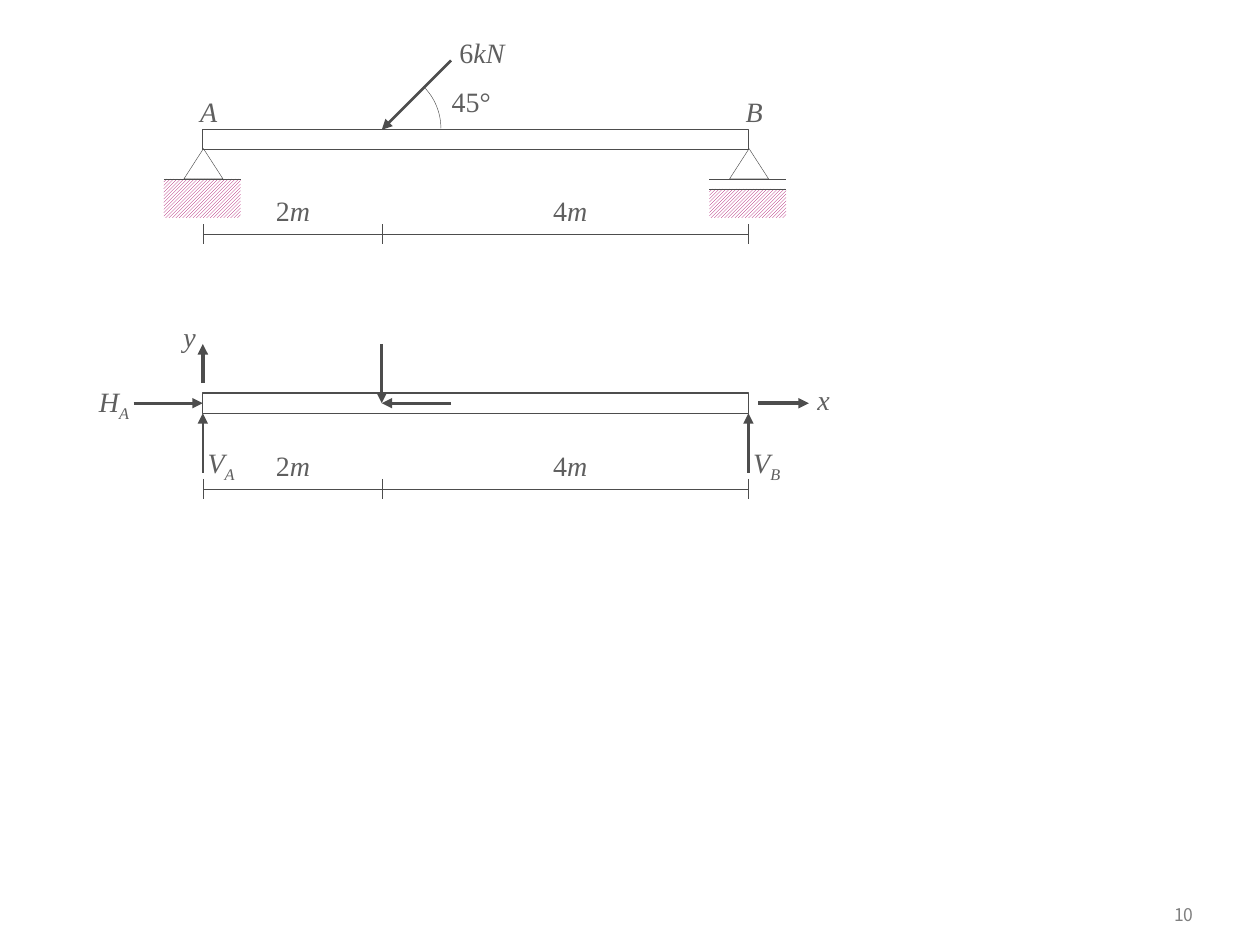
from lxml import etree
from pptx import Presentation
from pptx import util as u
from pptx.dml.color import RGBColor
from pptx.enum import dml, shapes, text
from pptx.oxml.ns import qn

COLORS = {"ink": "4D4D4D", "label": "5F5F5F", "hatch": "A90165",
          "white": "FFFFFF", "page": "808080"}
THIN, BEAM, FORCE = 0.25, 0.75, 1.5
SPAN, LOAD_X, DEPTH = 4.33, 1.42, 0.16
LABEL_H = 0.37
ITALIC = {"italic": True}


def rgb(name):
    return RGBColor.from_string(COLORS[name])


def ink_line(line, width):
    line.color.rgb = rgb("ink")
    line.width = u.Pt(width)


def add_line(slide, start, end, width=THIN, arrow=False):
    line = slide.shapes.add_connector(
        shapes.MSO_CONNECTOR.STRAIGHT, *(u.Inches(v) for v in (*start, *end)))
    ink_line(line.line, width)
    if arrow:
        etree.SubElement(line.line._get_or_add_ln(), qn("a:tailEnd"), type="triangle")
    etree.SubElement(line._element.spPr, qn("a:effectLst"))


def add_outline(slide, kind, left, top, width, height, weight=THIN):
    outline = slide.shapes.add_shape(
        kind, *(u.Inches(v) for v in (left, top, width, height)))
    outline.shadow.inherit = False
    outline.fill.background()
    ink_line(outline.line, weight)
    return outline


def add_text(slide, box, runs, align=text.PP_ALIGN.CENTER,
             anchor=text.MSO_ANCHOR.TOP, size=16, font="Times New Roman", color="label"):
    """Each run is (wording, font attributes, baseline shift in percent)."""
    frame = slide.shapes.add_textbox(*(u.Inches(v) for v in box)).text_frame
    for key, value in {"word_wrap": True, "vertical_anchor": anchor}.items():
        setattr(frame, key, value)
    paragraph = frame.paragraphs[0]
    paragraph.alignment = align
    for wording, style, shift in runs:
        run = paragraph.add_run()
        run.text = wording
        for key, value in {"size": u.Pt(size), "name": font, **style}.items():
            setattr(run.font, key, value)
        run.font.color.rgb = rgb(color)
        if shift:
            run._r.get_or_add_rPr().set("baseline", str(shift * 1000))


def add_symbol(slide, left, top, letter, subscript="", width=0.55):
    runs = [(letter, ITALIC, 0)]
    if subscript:
        runs.append((subscript, ITALIC, -25))
    add_text(slide, (left, top, width, LABEL_H), runs)


def add_quantity(slide, left, top, number, unit):
    add_text(slide, (left, top, 0.79, LABEL_H), [(number, {}, 0), (unit, ITALIC, 0)])


def add_beam(slide, left, top):
    add_outline(slide, shapes.MSO_SHAPE.RECTANGLE, left, top, SPAN, DEPTH, BEAM)


def add_support(slide, x, top, gap=0.0):
    """Triangle on hatched ground; a gap makes it a roller."""
    left, base, bottom = x - 0.31, top + 0.24, top + 0.55
    ground = base + gap
    hatch = add_outline(slide, shapes.MSO_SHAPE.RECTANGLE, left, ground, 0.61, bottom - ground)
    hatch.line.fill.background()
    hatch.fill.patterned()
    hatch.fill.pattern = dml.MSO_PATTERN.LIGHT_UPWARD_DIAGONAL
    hatch.fill.fore_color.rgb = rgb("hatch")
    hatch.fill.back_color.rgb = rgb("white")
    for y in sorted({base, ground}):
        add_line(slide, (left, y), (left + 0.61, y))
    add_outline(slide, shapes.MSO_SHAPE.ISOSCELES_TRIANGLE, x - 0.15, top, 0.31, 0.24)


def add_dimensions(slide, left, y):
    add_line(slide, (left, y), (left + SPAN, y))
    for offset in (0, LOAD_X, SPAN):
        add_line(slide, (left + offset, y - 0.08), (left + offset, y + 0.08))
    for offset, length in ((0.32, "2"), (2.52, "4")):
        add_quantity(slide, left + offset, y - LABEL_H, length, "m")


def loaded_beam(slide, left, top):
    right, load = left + SPAN, left + LOAD_X
    # Supports and beam
    add_support(slide, left, top + 0.15)
    add_support(slide, right, top + 0.15, gap=0.08)
    add_beam(slide, left, top)
    for x, end in ((left, "A"), (right, "B")):
        add_symbol(slide, x - 0.23, top - 0.33, end)
    # Inclined load and its angle
    add_line(slide, (load + 0.55, top - 0.55), (load, top), FORCE, arrow=True)
    add_quantity(slide, load + 0.4, top - 0.8, "6", "kN")
    angle = add_outline(slide, shapes.MSO_SHAPE.ARC, load - 0.47, top - 0.48, 0.94, 0.94)
    angle.adjustments[0] = 189.01
    angle.adjustments[1] = 0
    add_text(slide, (load + 0.24, top - 0.41, 0.94, LABEL_H), [("45°", {}, 0)])
    add_dimensions(slide, left, top + 0.83)


def free_body(slide, left, top):
    right, load, axis = left + SPAN, left + LOAD_X, top + DEPTH / 2
    add_beam(slide, left, top)
    # Reactions
    for x, end in ((left, "A"), (right, "B")):
        add_line(slide, (x, top + 0.63), (x, top + DEPTH), FORCE, arrow=True)
        add_symbol(slide, x - 0.13, top + 0.37, "V", end)
    add_line(slide, (left - 0.55, axis), (left, axis), FORCE, arrow=True)
    add_symbol(slide, left - 1.02, top - 0.12, "H", "A", width=0.63)
    # Load components
    for start in ((load + 0.55, axis), (load, axis - 0.47)):
        add_line(slide, start, (load, axis), FORCE, arrow=True)
    # Axes
    add_line(slide, (left, top - 0.08), (left, top - 0.39), 0, arrow=True)
    add_line(slide, (right + 0.08, axis), (right + 0.48, axis), 0, arrow=True)
    add_symbol(slide, right + 0.4, top - 0.13, "x", width=0.39)
    add_symbol(slide, left - 0.3, top - 0.63, "y", width=0.39)
    add_dimensions(slide, left, top + 0.76)


def page_number(slide, left, top):
    add_text(slide, (left, top, 0.71, 0.33), [("10", {}, 0)], text.PP_ALIGN.RIGHT,
             text.MSO_ANCHOR.MIDDLE, 10, "Noto Sans CJK KR", "page")


def main():
    deck = Presentation()
    deck.slide_width, deck.slide_height = u.Inches(10), u.Inches(7.5)
    slide = deck.slides.add_slide(deck.slide_layouts[6])
    page_number(slide, 8.86, 7.09)
    loaded_beam(slide, 1.61, 1.03)
    free_body(slide, 1.61, 3.12)
    deck.save("out.pptx")


if __name__ == "__main__":
    main()
